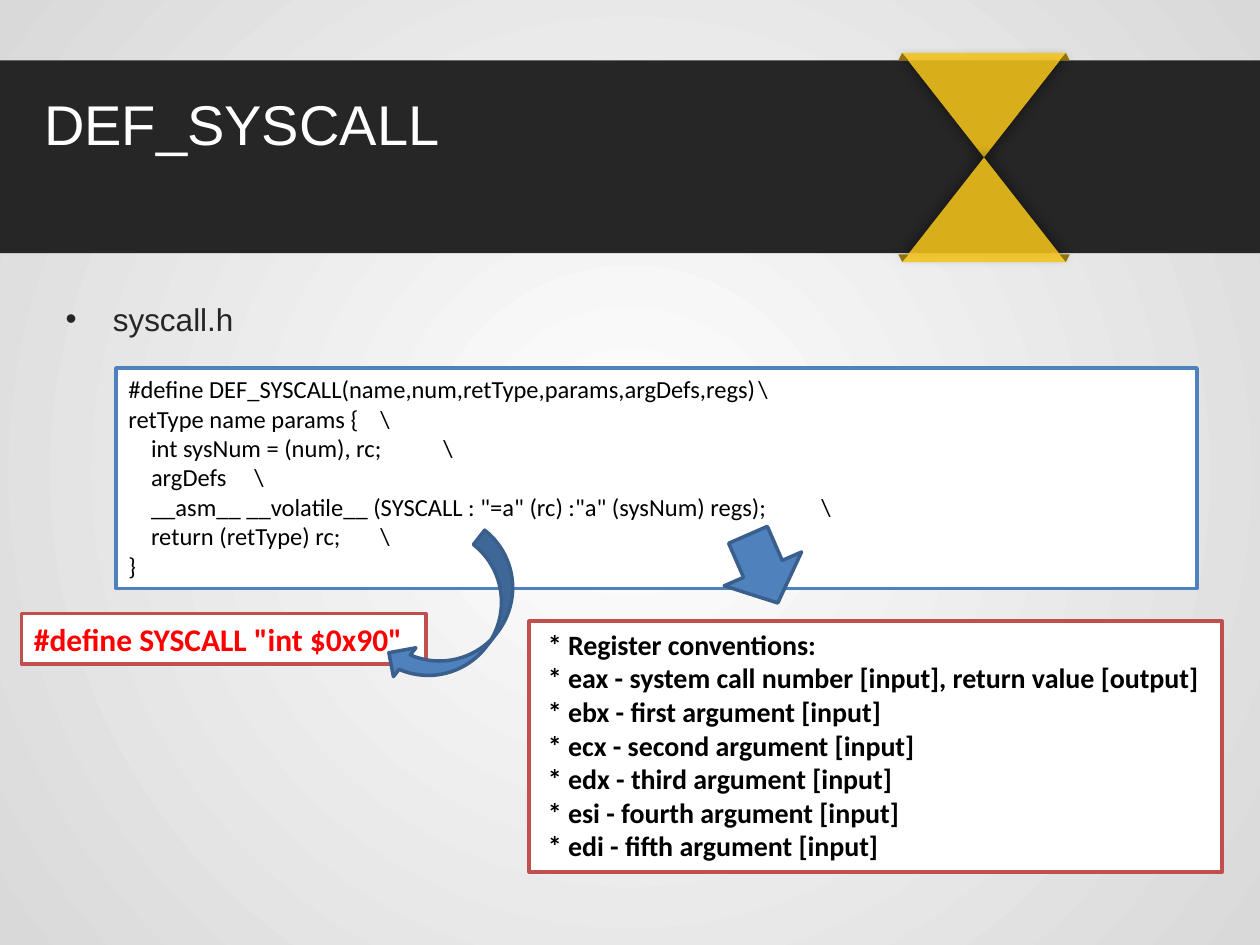
import pptx
import pptx.dml.color
import pptx.enum.shapes
import pptx.enum.text
import pptx.oxml
import pptx.oxml.ns
import pptx.util
from lxml import etree

Inches = pptx.util.Inches
Pt = pptx.util.Pt
SHAPE = pptx.enum.shapes.MSO_SHAPE
ANCHOR = pptx.enum.text.MSO_ANCHOR
ALIGN = pptx.enum.text.PP_ALIGN
NS = pptx.oxml.ns.nsdecls("a")
qn = pptx.oxml.ns.qn

BLUE, DARK_BLUE, RED, WHITE = "4F81BD", "3A5F8C", "C0504D", "FFFFFF"
CHARCOAL, GOLD, FOLD = "262626", "F5C61B", "907206"

# Code text, first-line indent and the tab stop of its line continuation
MACRO = [
    ("#define DEF_SYSCALL(name,num,retType,params,argDefs,regs)", 0, 6),
    ("retType name params {", 0, 8),
    ("int sysNum = (num), rc;", 0.18, 8),
    ("argDefs", 0.18, 8),
    ('__asm__ __volatile__ (SYSCALL : "=a" (rc) :"a" (sysNum) regs);', 0.18, 6),
    ("return (retType) rc;", 0.18, 7),
    ("}", 0, None),
]
REGISTERS = [
    " * Register conventions:",
    " * eax - system call number [input], return value [output]",
    " * ebx - first argument [input]",
    " * ecx - second argument [input]",
    " * edx - third argument [input]",
    " * esi - fourth argument [input]",
    " * edi - fifth argument [input]",
]


def paint(color_holder, color):
    """Make a fill solid in a hex colour."""
    color_holder.solid()
    color_holder.fore_color.rgb = pptx.dml.color.RGBColor.from_string(color)


def finish(shape, fill, line=None):
    """Give a shape its fill and optional outline, without a shadow."""
    shape.shadow.inherit = False
    paint(shape.fill, fill)
    if line:
        paint(shape.line.fill, line)
        shape.line.width = Pt(2)
    else:
        shape.line.fill.background()
    return shape


def add_preset(slide, kind, box, fill, line=None):
    """Add a preset shape in a box of left, top, width, height."""
    return finish(slide.shapes.add_shape(kind, *map(Inches, box)), fill, line)


def add_run(paragraph, text, size, color, font="Calibri", bold=False):
    """Append one formatted run."""
    run = paragraph.add_run()
    run.text = text
    run.font.size = Pt(size)
    run.font.name = font
    run.font.bold = bold
    paint(run.font.fill, color)


def set_background(slide):
    """Fill the background with a radial gradient from white to grey."""
    slide.background.fill.solid()
    properties = slide.background._cSld.find(qn("p:bg")).find(qn("p:bgPr"))
    gradient = pptx.oxml.parse_xml(
        f'<a:gradFill {NS} rotWithShape="1"><a:gsLst>'
        '<a:gs pos="0"><a:srgbClr val="FFFFFF"/></a:gs>'
        '<a:gs pos="100000"><a:srgbClr val="D9D9D9"/></a:gs></a:gsLst>'
        '<a:path path="circle"><a:fillToRect l="50000" t="50000" r="50000" b="50000"/>'
        "</a:path></a:gradFill>")
    properties.replace(properties.find(qn("a:solidFill")), gradient)


def add_ribbon_half(slide, box, flipped):
    """Add one translucent ribbon triangle; its shadow falls to the middle."""
    half = add_preset(slide, SHAPE.ISOSCELES_TRIANGLE, box, GOLD)
    properties = half._element.spPr
    if flipped:
        properties.find(qn("a:xfrm")).set("flipV", "1")
    gold = properties.find(qn("a:solidFill"))[0]
    etree.SubElement(gold, qn("a:alpha")).set("val", "87000")
    direction = 5400000 if flipped else 16200000
    shadow = pptx.oxml.parse_xml(
        f'<a:outerShdw {NS} blurRad="{Pt(7)}" dist="{Pt(3)}" dir="{direction}" '
        'rotWithShape="0"><a:srgbClr val="000000"><a:alpha val="40000"/>'
        "</a:srgbClr></a:outerShdw>")
    properties.find(qn("a:effectLst")).append(shadow)


def add_ribbon(slide, box):
    """Add the hourglass ribbon with a fold at each corner."""
    left, top, width, height = box
    half = height / 2
    add_ribbon_half(slide, (left, top, width, half), True)
    add_ribbon_half(slide, (left, top + half, width, half), False)
    for x, outward in ((left, -1), (left + width, 1)):
        for y, inward in ((top, 1), (top + height, -1)):
            edge = y + 0.06 * inward
            fold = slide.shapes.build_freeform(Inches(x), Inches(y), scale=1.0)
            fold.add_line_segments([
                (Inches(x + 0.03 * outward), Inches(edge)),
                (Inches(x - 0.05 * outward), Inches(edge))], close=True)
            finish(fold.convert_to_shape(), FOLD)


def fill_placeholder(slide, placeholder, box, text, size, color):
    """Move a placeholder into its box, in front, and write its text."""
    (placeholder.left, placeholder.top,
     placeholder.width, placeholder.height) = map(Inches, box)
    slide.shapes._spTree.append(placeholder._element)
    paragraph = placeholder.text_frame.paragraphs[0]
    paragraph.alignment = ALIGN.LEFT
    add_run(paragraph, text, size, color, "Arial")
    return placeholder


def add_header(slide, box):
    """Add the dark band, its ribbon and the title."""
    left, top, width, height = box
    add_preset(slide, SHAPE.RECTANGLE, box, CHARCOAL)
    add_ribbon(slide, (left + 7.16, top - 0.06, 1.3, height + 0.13))
    title = fill_placeholder(slide, slide.shapes.title,
                             (left + 0.25, top + 0.15, 5.92, 0.7),
                             "DEF_SYSCALL", 32, WHITE)
    title.text_frame.vertical_anchor = ANCHOR.MIDDLE


def add_panel(slide, box, line, count, wrap=True):
    """Add a white outlined panel and return its left-aligned paragraphs."""
    frame = add_preset(slide, SHAPE.RECTANGLE, box, WHITE, line).text_frame
    frame.word_wrap = wrap
    frame.vertical_anchor = ANCHOR.TOP
    for _ in range(count - 1):
        frame.add_paragraph()
    for paragraph in frame.paragraphs:
        paragraph.alignment = ALIGN.LEFT
    return frame.paragraphs


def add_macro(slide, box):
    """Add the macro listing with tabbed line continuations."""
    paragraphs = add_panel(slide, box, BLUE, len(MACRO))
    for paragraph, (code, indent, stop) in zip(paragraphs, MACRO):
        properties = paragraph._p.get_or_add_pPr()
        properties.set("marL", "0")
        properties.set("indent", str(Inches(indent)))
        if stop:
            stops = etree.SubElement(properties, qn("a:tabLst"))
            etree.SubElement(stops, qn("a:tab"), pos=str(Inches(stop)), algn="l")
            code += "\t\\"
        add_run(paragraph, code, 14, "000000")


def add_note(slide, box, lines, size, color, wrap=True):
    """Add a red-edged panel of bold lines."""
    for paragraph, text in zip(add_panel(slide, box, RED, len(lines), wrap), lines):
        add_run(paragraph, text, size, color, bold=True)


def add_arrow(slide, kind, box, rotation):
    """Add a rotated blue block arrow."""
    add_preset(slide, kind, box, BLUE, DARK_BLUE).rotation = rotation


def build():
    """Build and save the slide."""
    deck = pptx.Presentation()
    deck.slide_width, deck.slide_height = Inches(10), Inches(7.5)
    slide = deck.slides.add_slide(deck.slide_layouts[1])
    set_background(slide)
    add_header(slide, (0, 0.48, 10, 1.53))
    fill_placeholder(slide, slide.placeholders[1], (0.42, 2.33, 9.17, 4.33),
                     "syscall.h", 18, CHARCOAL)
    add_macro(slide, (0.92, 2.92, 8.58, 1.75))
    add_note(slide, (0.17, 4.87, 3.21, 0.4),
             ['#define SYSCALL "int $0x90" '], 18, "FF0000", wrap=False)
    add_arrow(slide, SHAPE.CURVED_LEFT_ARROW, (3.36, 4.24, 0.58, 1.38), 38)
    add_note(slide, (4.2, 4.93, 5.5, 1.99), REGISTERS, 16, "000000")
    add_arrow(slide, SHAPE.DOWN_ARROW, (5.72, 4.22, 0.67, 0.59), 336.4)
    deck.save("out.pptx")


build()
